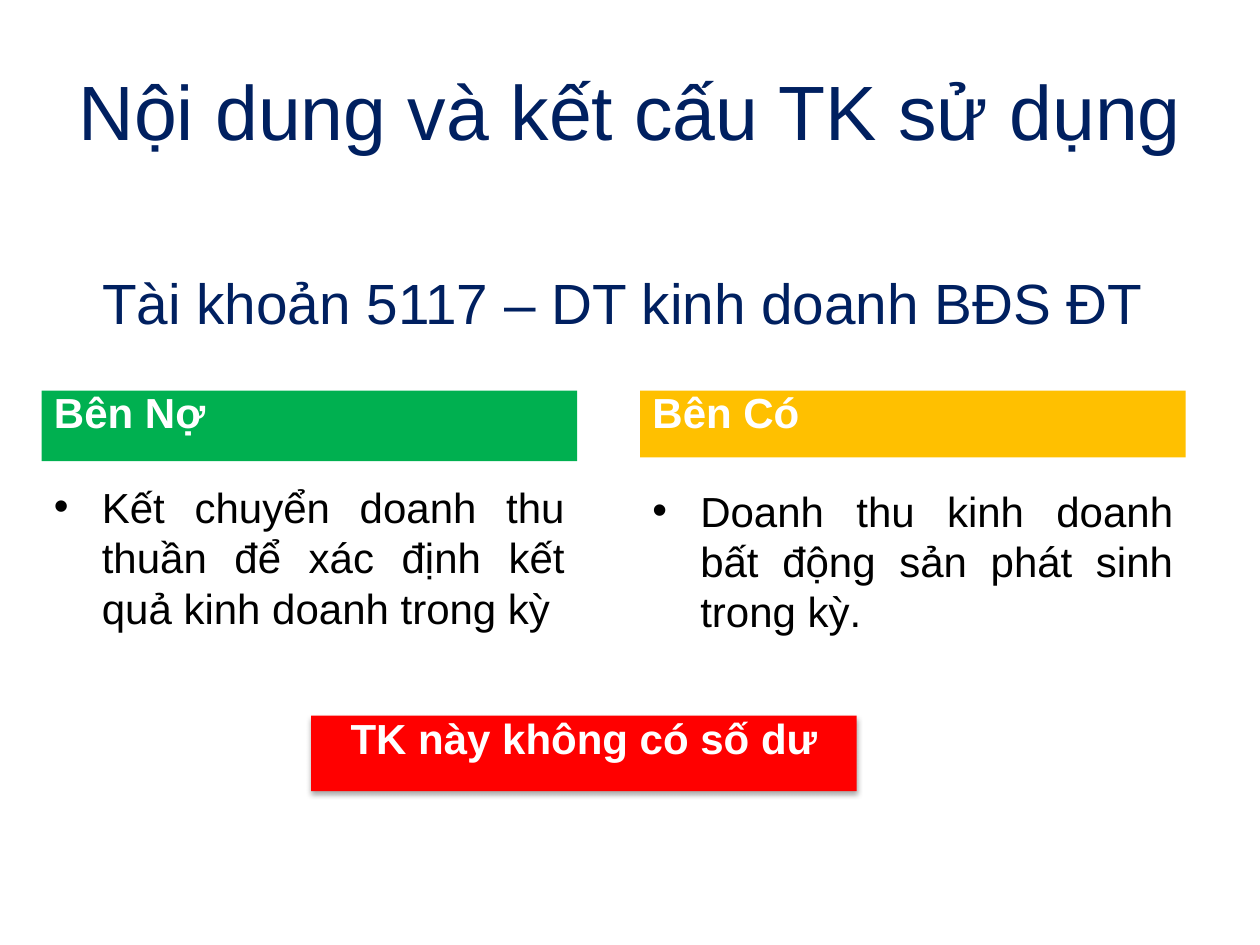
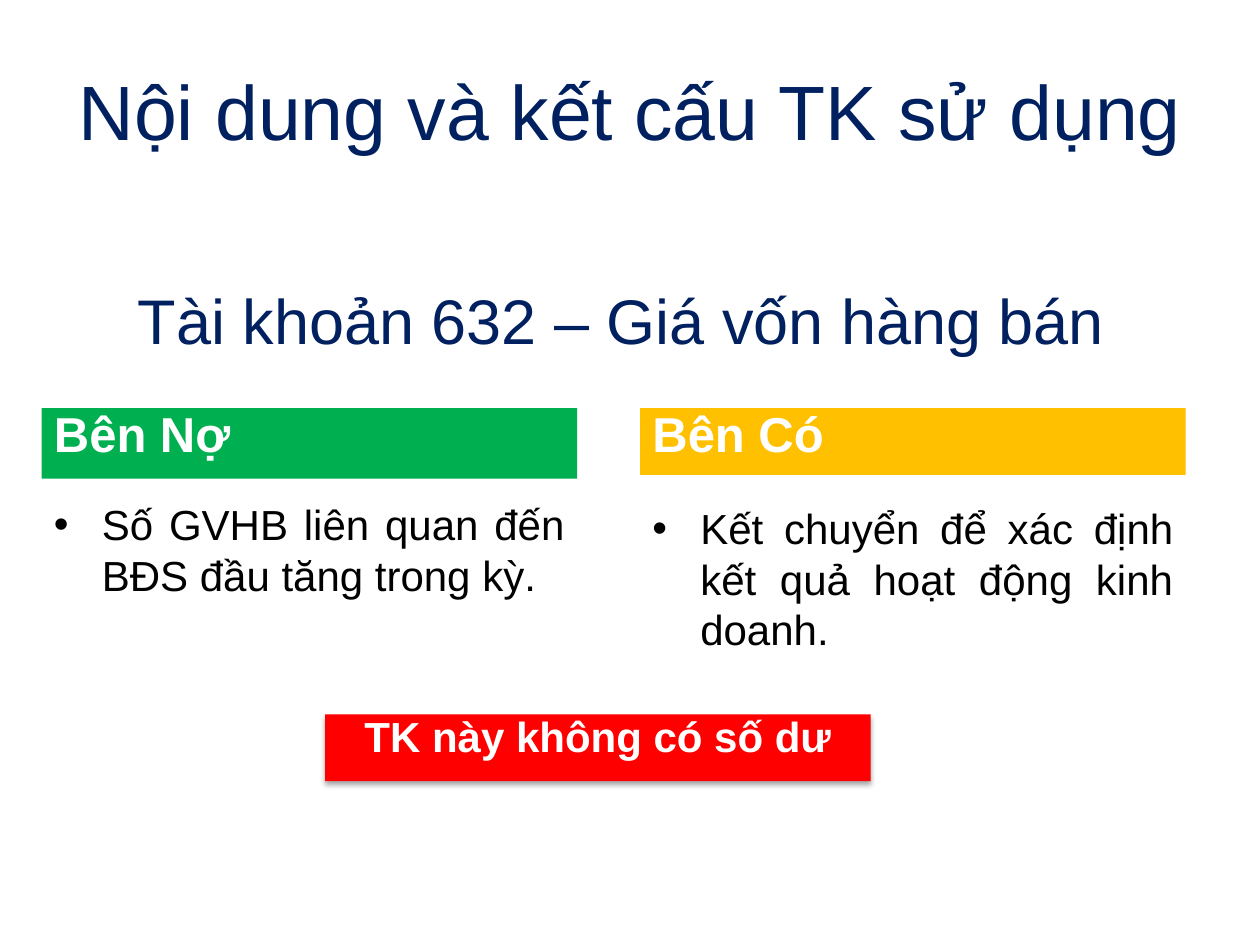
"""Build two slides on the debit and credit sides of accounts 5117 and 632."""
from dataclasses import dataclass

from lxml.etree import SubElement
from pptx import Presentation
from pptx.dml.color import RGBColor
from pptx.enum.shapes import MSO_SHAPE
from pptx.enum.text import MSO_ANCHOR, MSO_AUTO_SIZE, PP_ALIGN
from pptx.oxml.ns import qn
from pptx.util import Inches, Pt

COLORS = {
    "navy": "002060",
    "debit": "00B050",
    "credit": "FFC000",
    "note": "FF0000",
    "white": "FFFFFF",
    "black": "000000",
}
FONT = "Arial"
HEADING = "Nội dung và kết cấu TK sử dụng"
NOTE = "TK này không có số dư"


@dataclass
class Box:
    left: float
    top: float
    width: float
    height: float

    def lengths(self) -> list:
        return [Inches(v) for v in (self.left, self.top, self.width, self.height)]


@dataclass
class Side:
    label: str
    color: str
    left: float
    width: float
    bar_height: float
    body_gap: float


@dataclass
class Account:
    title: str
    title_size: float
    bar_top: float
    label_size: float
    entries: tuple
    body_heights: tuple
    note: Box


SIDES = (
    Side("Bên Nợ", "debit", 0.33, 4.25, 0.56, 0.67),
    Side("Bên Có", "credit", 5.08, 4.33, 0.53, 0.7),
)
ACCOUNTS = (
    Account(
        "Tài khoản 5117 – DT kinh doanh BĐS ĐT ", 32.4, 3.1, 24,
        ("Kết chuyển doanh thu thuần để xác định kết quả kinh doanh trong kỳ ",
         "Doanh thu kinh doanh bất động sản phát sinh trong kỳ. "),
        (1.31, 1.72), Box(2.47, 5.68, 4.33, 0.6),
    ),
    Account(
        "Tài khoản 632 – Giá vốn hàng bán ", 36, 3.24, 28,
        ("Số GVHB liên quan đến BĐS đầu tăng trong kỳ.",
         "Kết chuyển để xác định kết quả hoạt động kinh doanh."),
        (0.91, 1.72), Box(2.58, 5.67, 4.33, 0.53),
    ),
)


def write(s, text: str, size: float, color: str, align=PP_ALIGN.LEFT,
          anchor=MSO_ANCHOR.TOP, fit=MSO_AUTO_SIZE.NONE, spacing: float = 1.0,
          indent: float = 0, bold: bool = False, bullet: bool = False) -> None:
    """Fill a shape with one formatted paragraph."""
    tf = s.text_frame
    frame = {"word_wrap": True, "auto_size": fit, "vertical_anchor": anchor}
    for name, value in frame.items():
        setattr(tf, name, value)
    p = tf.paragraphs[0]
    for name, value in {"alignment": align, "line_spacing": spacing}.items():
        setattr(p, name, value)
    pPr = p._p.get_or_add_pPr()
    if indent:
        pPr.set("marL", str(Inches(indent)))
        pPr.set("indent", str(-Inches(indent)))
    if bullet:
        SubElement(pPr, qn("a:buFont"), typeface=FONT)
        SubElement(pPr, qn("a:buChar"), char="•")
    r = p.add_run()
    r.text = text
    for name, value in {"name": FONT, "size": Pt(size), "bold": bold}.items():
        setattr(r.font, name, value)
    r.font.color.rgb = RGBColor.from_string(COLORS[color])


def add_bar(slide, box: Box, text: str, color: str, size: float, align=PP_ALIGN.LEFT):
    """Draw a filled bar with a bold white label."""
    s = slide.shapes.add_shape(MSO_SHAPE.RECTANGLE, *box.lengths())
    s.shadow.inherit = False
    s.fill.solid()
    s.fill.fore_color.rgb = RGBColor.from_string(COLORS[color])
    s.line.fill.background()
    write(s, text, size, "white", align, spacing=0.8, indent=0.35, bold=True)
    return s


def add_shadow(s) -> None:
    """Put a soft shadow straight below a shape."""
    effects = s._element.spPr.find(qn("a:effectLst"))
    shadow = SubElement(effects, qn("a:outerShdw"), blurRad=str(Pt(3.1)),
                        dist=str(Pt(1.8)), dir="5400000", rotWithShape="0")
    color = SubElement(shadow, qn("a:srgbClr"), val=COLORS["black"])
    SubElement(color, qn("a:alpha"), val="35000")


def add_text(slide, box: Box, text: str, size: float, color: str, **style) -> None:
    """Add a text box."""
    write(slide.shapes.add_textbox(*box.lengths()), text, size, color, **style)


def add_account(prs, account: Account) -> None:
    """Add the slide of one account."""
    slide = prs.slides.add_slide(prs.slide_layouts[5])
    title = slide.shapes.title
    box = Box(0.5, account.bar_top - 1.22, 9, 1.03)
    for name, value in zip(("left", "top", "width", "height"), box.lengths()):
        setattr(title, name, value)
    write(title, account.title, account.title_size, "navy", PP_ALIGN.CENTER,
          MSO_ANCHOR.MIDDLE)
    for side, entry, height in zip(SIDES, account.entries, account.body_heights):
        bar = Box(side.left, account.bar_top, side.width, side.bar_height)
        add_bar(slide, bar, side.label, side.color, account.label_size)
        body = Box(side.left, account.bar_top + side.body_gap, side.width, height)
        add_text(slide, body, entry, 24, "black", align=PP_ALIGN.JUSTIFY,
                 fit=MSO_AUTO_SIZE.SHAPE_TO_FIT_TEXT, indent=0.38, bullet=True)
    add_shadow(add_bar(slide, account.note, NOTE, "note", 24, PP_ALIGN.CENTER))
    add_text(slide, Box(0.42, 0.3, 9.17, 0.78), HEADING, 44, "navy",
             align=PP_ALIGN.CENTER, anchor=MSO_ANCHOR.MIDDLE, spacing=1.5)


def main() -> None:
    """Build and save the presentation."""
    prs = Presentation()
    prs.slide_width, prs.slide_height = Inches(10), Inches(7.5)
    for account in ACCOUNTS:
        add_account(prs, account)
    prs.save("out.pptx")


if __name__ == "__main__":
    main()
